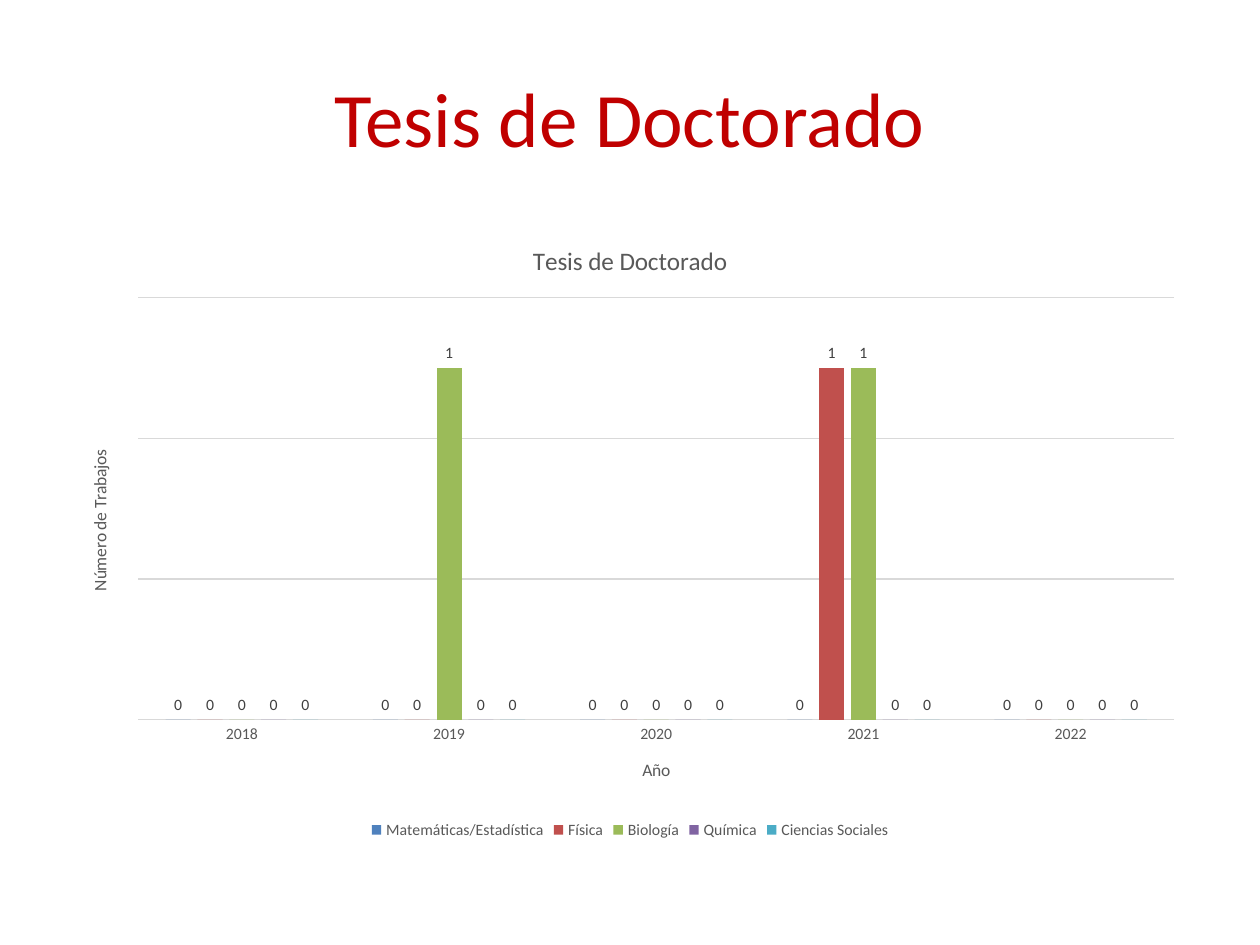
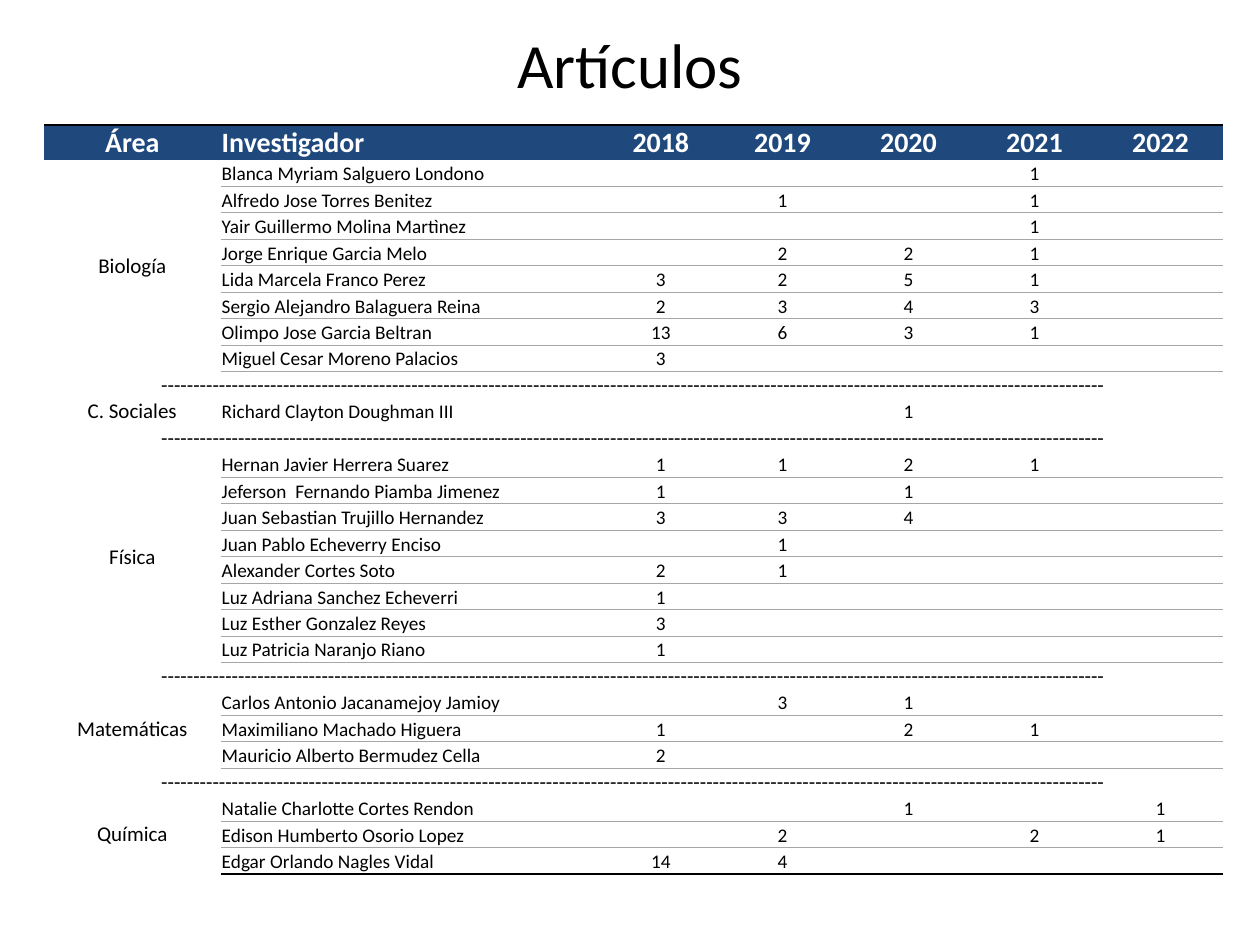
from lxml import etree
from pptx import Presentation, util as u
from pptx.chart.data import CategoryChartData
from pptx.dml.color import RGBColor
from pptx.enum import chart as ch, text as t
from pptx.oxml.ns import qn

PX = 9144  # 100 px to the inch
FONT = "Calibri"
COLORS = {
    "red": "C00000", "black": "000000", "white": "FFFFFF", "navy": "1F497D",
    "rule": "A6A6A6", "grid": "D9D9D9", "caption": "595959", "label": "404040",
}
YEARS = ["2018", "2019", "2020", "2021", "2022"]


def style(font, size, color, bold=False):
    for name, value in {"name": FONT, "size": u.Pt(size), "bold": bold}.items():
        setattr(font, name, value)
    font.color.rgb = RGBColor.from_string(COLORS[color])


def border(cell, side, color, points):
    line = etree.SubElement(cell._tc.get_or_add_tcPr(), qn(f"a:{side}"), w=str(u.Pt(points)))
    fill = etree.SubElement(line, qn("a:solidFill"))
    etree.SubElement(fill, qn("a:srgbClr"), val=COLORS[color])


deck = Presentation()
deck.slide_width, deck.slide_height = 1000 * PX, 750 * PX

# Slides and their titles
slides = []
for heading, top, height, size, color in [
    ("Tesis de Doctorado", 30, 125, 44, "red"),
    ("Artículos", 12, 76, 36, "black"),
]:
    slide = deck.slides.add_slide(deck.slide_layouts[6])
    frame = slide.shapes.add_textbox(50 * PX, top * PX, 900 * PX, height * PX).text_frame
    frame.word_wrap = True
    frame.vertical_anchor = t.MSO_ANCHOR.MIDDLE
    frame.text = heading
    frame.paragraphs[0].alignment = t.PP_ALIGN.CENTER
    style(frame.paragraphs[0].runs[0].font, size, color)
    slides.append(slide)
theses_slide, articles_slide = slides

# Doctoral theses per year and area
theses = [
    ("Matemáticas/Estadística", "4F81BD", [0, 0, 0, 0, 0]),
    ("Física", "C0504D", [0, 0, 0, 1, 0]),
    ("Biología", "9BBB59", [0, 1, 0, 1, 0]),
    ("Química", "8064A2", [0, 0, 0, 0, 0]),
    ("Ciencias Sociales", "4BACC6", [0, 0, 0, 0, 0]),
]
data = CategoryChartData()
data.categories = YEARS
for area, _, counts in theses:
    data.add_series(area, counts)
chart = theses_slide.shapes.add_chart(
    ch.XL_CHART_TYPE.COLUMN_CLUSTERED, 50 * PX, 175 * PX, 900 * PX, 495 * PX, data).chart
style(chart.font, 10, "black")

# Chart and axis titles
years_axis, count_axis = chart.category_axis, chart.value_axis
for owner, caption, size in [
    (chart, "Tesis de Doctorado", 14.4),
    (years_axis, "Año", 10),
    (count_axis, "Número de Trabajos", 10),
]:
    owner.has_title = True
    title = owner.chart_title if owner is chart else owner.axis_title
    title.text_frame.text = caption
    style(title.text_frame.paragraphs[0].runs[0].font, size, "caption")
chart.chart_title.include_in_layout = False

# Axes
for name, value in {"minimum_scale": 0, "maximum_scale": 1.2, "major_unit": 0.4,
                    "has_major_gridlines": True, "visible": False}.items():
    setattr(count_axis, name, value)
years_axis.major_tick_mark = ch.XL_TICK_MARK.NONE
style(years_axis.tick_labels.font, 9, "caption")
for line in (years_axis.format.line, count_axis.major_gridlines.format.line):
    line.width = u.Pt(0.75)
    line.color.rgb = RGBColor.from_string(COLORS["grid"])

# Legend, columns and their labels
chart.has_legend = True
chart.legend.position = ch.XL_LEGEND_POSITION.BOTTOM
chart.legend.include_in_layout = False
style(chart.legend.font, 9, "caption")
columns = chart.plots[0]
for name, value in {"gap_width": 219, "overlap": -27, "vary_by_categories": False}.items():
    setattr(columns, name, value)
for series, (_, color, _) in zip(columns.series, theses):
    series.format.fill.solid()
    series.format.fill.fore_color.rgb = RGBColor.from_string(color)
    series.data_labels.show_value = True
    series.data_labels.position = ch.XL_LABEL_POSITION.OUTSIDE_END
    style(series.data_labels.font, 9, "label")

# Articles per researcher and year, grouped by area
articles = {
    "Biología": [
        ("Blanca Myriam Salguero Londono", "", "", "", 1, ""),
        ("Alfredo Jose Torres Benitez", "", 1, "", 1, ""),
        ("Yair Guillermo Molina Martìnez", "", "", "", 1, ""),
        ("Jorge Enrique Garcia Melo", "", 2, 2, 1, ""),
        ("Lida Marcela Franco Perez", 3, 2, 5, 1, ""),
        ("Sergio Alejandro Balaguera Reina", 2, 3, 4, 3, ""),
        ("Olimpo Jose Garcia Beltran", 13, 6, 3, 1, ""),
        ("Miguel Cesar Moreno Palacios", 3, "", "", "", ""),
    ],
    "C. Sociales": [
        ("Richard Clayton Doughman III", "", "", 1, "", ""),
    ],
    "Física": [
        ("Hernan Javier Herrera Suarez", 1, 1, 2, 1, ""),
        ("Jeferson  Fernando Piamba Jimenez", 1, "", 1, "", ""),
        ("Juan Sebastian Trujillo Hernandez", 3, 3, 4, "", ""),
        ("Juan Pablo Echeverry Enciso", "", 1, "", "", ""),
        ("Alexander Cortes Soto", 2, 1, "", "", ""),
        ("Luz Adriana Sanchez Echeverri", 1, "", "", "", ""),
        ("Luz Esther Gonzalez Reyes", 3, "", "", "", ""),
        ("Luz Patricia Naranjo Riano", 1, "", "", "", ""),
    ],
    "Matemáticas": [
        ("Carlos Antonio Jacanamejoy Jamioy", "", 3, 1, "", ""),
        ("Maximiliano Machado Higuera", 1, "", 2, 1, ""),
        ("Mauricio Alberto Bermudez Cella", 2, "", "", "", ""),
    ],
    "Química": [
        ("Natalie Charlotte Cortes Rendon", "", "", 1, "", 1),
        ("Edison Humberto Osorio Lopez", "", 2, "", 2, 1),
        ("Edgar Orlando Nagles Vidal", 14, 4, "", "", ""),
    ],
}
CLOSED_BY_RULE = ("Física", "Matemáticas")
DASHES = "-" * 147

# Lay the groups out as rows, with a dashed row between groups
rows = [["Área", "Investigador", *YEARS]]
merges, ruled_rows, dashed_rows = [], set(), set()
for area, researchers in articles.items():
    if len(rows) > 1:
        dashed_rows.add(len(rows))
        merges.append((len(rows), 0, len(rows), 6))
        rows.append([DASHES] + [""] * 6)
    first, last = len(rows), len(rows) + len(researchers) - 1
    if last > first:
        merges.append((first, 0, last, 0))
    ruled_rows.update(range(first, last + (area in CLOSED_BY_RULE)))
    for i, researcher in enumerate(researchers):
        rows.append([area if i == 0 else "", *researcher])

grid = articles_slide.shapes.add_table(
    len(rows), 7, 35 * PX, 99 * PX, 936 * PX, 588 * PX).table
grid.first_row = grid.horz_banding = False
grid._tbl.tblPr.find(qn("a:tableStyleId")).text = "{2D5ABB26-0587-4C30-8999-92F81FD0307C}"
for column, width in zip(grid.columns, [140, 303, 93, 100, 100, 100, 100]):
    column.width = width * PX
for r, row in enumerate(grid.rows):
    row.height = (27 if r == 0 else 21) * PX

# Fill and format the cells
for r, values in enumerate(rows):
    for c, value in enumerate(values):
        cell = grid.cell(r, c)
        size = 16 if r == 0 else 12 if c == 0 else 11
        centred_label = c == 0 and r > 0
        for name, setting in {
            "margin_left": PX, "margin_right": PX, "margin_top": PX, "margin_bottom": 0,
            "vertical_anchor": t.MSO_ANCHOR.MIDDLE if centred_label else t.MSO_ANCHOR.BOTTOM,
        }.items():
            setattr(cell, name, setting)
        paragraph = cell.text_frame.paragraphs[0]
        paragraph.alignment = t.PP_ALIGN.LEFT if c == 1 else t.PP_ALIGN.CENTER
        if value == "":
            etree.SubElement(paragraph._p, qn("a:endParaRPr"), sz=str(size * 100))
        else:
            run = paragraph.add_run()
            run.text = str(value)
            style(run.font, size, "black" if r else "white", bold=r == 0)
        if r == 0:
            border(cell, "lnT", "black", 1)
        elif c > 0 and r - 1 in ruled_rows and r not in dashed_rows:
            border(cell, "lnT", "rule", 0.25)
        if r == len(rows) - 1:
            border(cell, "lnB", "black", 1)
        elif c > 0 and r in ruled_rows:
            border(cell, "lnB", "rule", 0.25)
        if r == 0:
            cell.fill.solid()
            cell.fill.fore_color.rgb = RGBColor.from_string(COLORS["navy"])
        else:
            cell.fill.background()
for top, left, bottom, right in merges:
    grid.cell(top, left).merge(grid.cell(bottom, right))
border_cell = grid.cell(len(rows) - len(articles["Química"]), 0)
etree.SubElement(border_cell._tc.get_or_add_tcPr(), qn("a:extLst"))

deck.save("out.pptx")
